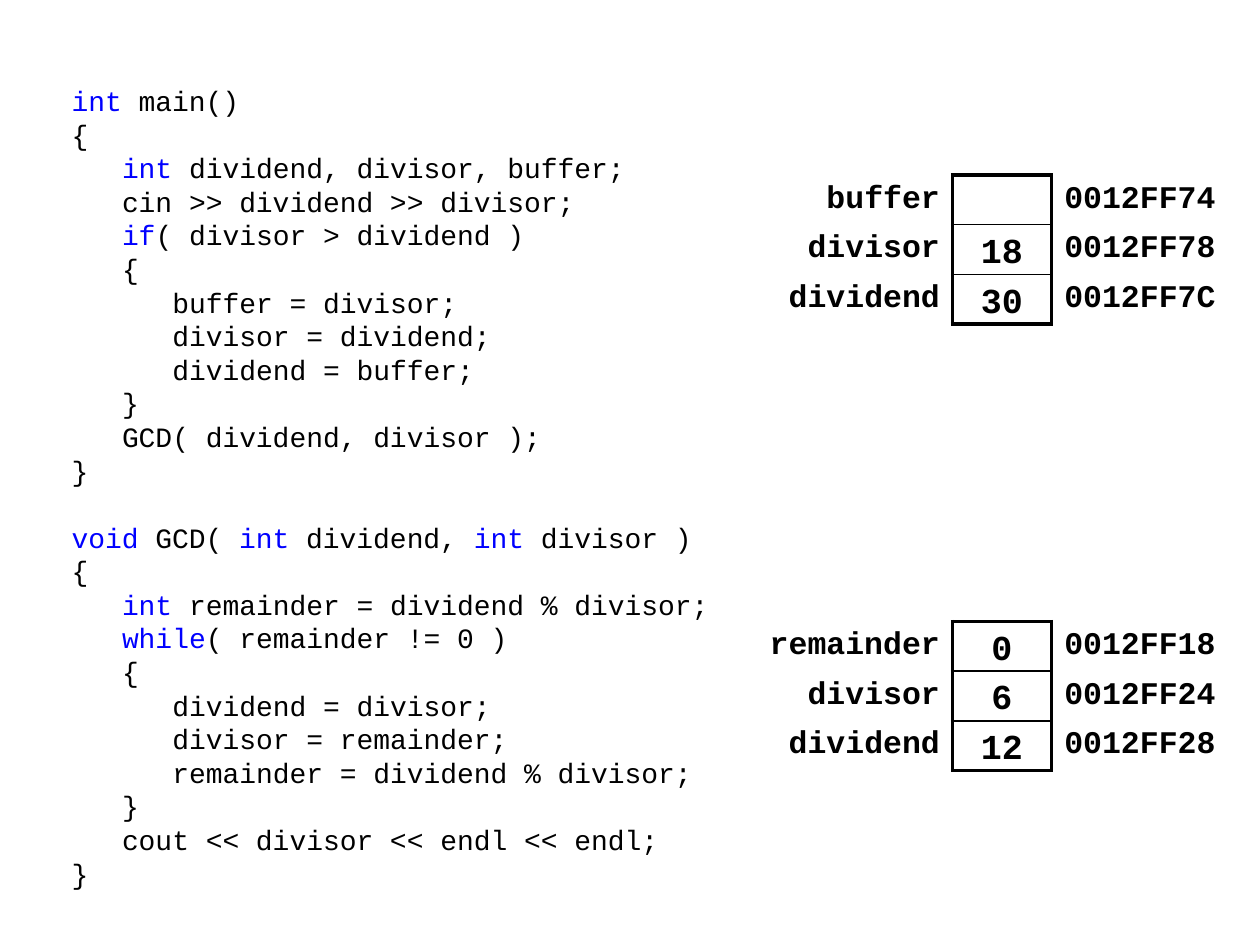
import pptx
import pptx.util
import pptx.dml.color
import pptx.enum.text
import pptx.oxml
import pptx.oxml.ns
from pptx.util import Cm, Pt

FONT = "Courier New"
BLACK = "000000"
BLUE = "0000FF"
ROW_H = 1.0
TABLE_X = 15.2
COL_W = [4.0, 2.0, 4.0]
INDENT_PER_SPACE = Pt(9.6)
LINE_PITCH = Pt(19.2)
ALIGN = pptx.enum.text.PP_ALIGN
MIDDLE = pptx.enum.text.MSO_ANCHOR.MIDDLE

CODE = """*int* main()
{
   *int* dividend, divisor, buffer;
   cin >> dividend >> divisor;
   *if*( divisor > dividend )
   {
      buffer = divisor;
      divisor = dividend;
      dividend = buffer;
   }
   GCD( dividend, divisor );
}

*void* GCD( *int* dividend, *int* divisor )
{
   *int* remainder = dividend % divisor;
   *while*( remainder != 0 )
   {
      dividend = divisor;
      divisor = remainder;
      remainder = dividend % divisor;
   }
   cout << divisor << endl << endl;
}"""

MEMORY = [
    (3.53, [("buffer", "", "0012FF74"),
            ("divisor", "18", "0012FF78"),
            ("dividend", "30", "0012FF7C")]),
    (12.53, [("remainder", "0", "0012FF18"),
             ("divisor", "6", "0012FF24"),
             ("dividend", "12", "0012FF28")]),
]


def rgb(color):
    return pptx.dml.color.RGBColor.from_string(color)


def add_run(p, text, size, color=BLACK, bold=False):
    r = p.add_run()
    r.text = text
    r.font.name = FONT
    r.font.size = Pt(size)
    r.font.bold = bold
    r.font.color.rgb = rgb(color)


def add_code_line(p, line):
    code = line.lstrip()
    pPr = p._p.get_or_add_pPr()
    pPr.set("marL", str(INDENT_PER_SPACE * (len(line) - len(code))))
    pPr.set("indent", "0")
    p.line_spacing = LINE_PITCH
    p.space_before = Pt(0)
    pPr.append(pptx.oxml.parse_xml(f"<a:buNone {pptx.oxml.ns.nsdecls('a')}/>"))
    for i, part in enumerate(code.split("*")):
        if part:
            add_run(p, part, 16, BLUE if i % 2 else BLACK)


def add_code(s):
    sp = s.placeholders[1]
    sp.left, sp.top, sp.width, sp.height = Cm(1.19), Cm(1.56), Cm(13.51), Cm(16.51)
    tf = sp.text_frame
    tf.auto_size = pptx.enum.text.MSO_AUTO_SIZE.NONE
    for i, block in enumerate(CODE.split("\n\n")):
        for j, line in enumerate(block.split("\n")):
            p = tf.add_paragraph() if i or j else tf.paragraphs[0]
            add_code_line(p, line)
            if i and not j:
                p.space_before = LINE_PITCH


def set_borders(cell, **widths):
    tcPr = cell._tc.get_or_add_tcPr()
    for side in "LRTB":
        width = widths.get(side, 0)
        fill = (f'<a:solidFill><a:srgbClr val="{BLACK}"/></a:solidFill>'
                if width else "<a:noFill/>")
        tcPr.append(pptx.oxml.parse_xml(
            f'<a:ln{side} {pptx.oxml.ns.nsdecls("a")} w="{Pt(width)}">{fill}</a:ln{side}>'))


def format_cell(cell, text, align, **borders):
    cell.margin_top = cell.margin_bottom = Cm(0.1)
    cell.vertical_anchor = MIDDLE
    set_borders(cell, **borders)
    cell.fill.background()
    if text:
        p = cell.text_frame.paragraphs[0]
        p.alignment = align
        add_run(p, text, 18, bold=True)


def add_memory_table(s, top, rows):
    shape = s.shapes.add_table(len(rows), 3, Cm(TABLE_X), Cm(top),
                               Cm(sum(COL_W)), Cm(ROW_H * len(rows)))
    table = shape.table
    table.first_row = table.horz_banding = False
    for column, width in zip(table.columns, COL_W):
        column.width = Cm(width)
    last = len(rows) - 1
    for i, (name, _, address) in enumerate(rows):
        table.rows[i].height = Cm(ROW_H)
        format_cell(table.cell(i, 0), name, ALIGN.RIGHT, R=2.25)
        format_cell(table.cell(i, 1), "", ALIGN.CENTER, L=2.25, R=2.25,
                    T=1 if i else 2.25, B=1 if i < last else 2.25)
        format_cell(table.cell(i, 2), address, ALIGN.LEFT, L=2.25)


def add_value(s, top, text):
    sp = s.shapes.add_textbox(Cm(TABLE_X + COL_W[0]), Cm(top), Cm(COL_W[1]), Cm(ROW_H))
    tf = sp.text_frame
    tf.word_wrap = True
    tf.vertical_anchor = MIDDLE
    p = tf.paragraphs[0]
    p.alignment = ALIGN.CENTER
    p.space_before = Pt(10)
    add_run(p, text, 20, bold=True)


def main():
    prs = pptx.Presentation()
    prs.slide_width, prs.slide_height = Cm(25.4), Cm(19.05)
    s = prs.slides.add_slide(prs.slide_layouts[1])
    title = s.shapes.title
    title.element.getparent().remove(title.element)
    add_code(s)
    for top, rows in MEMORY:
        add_memory_table(s, top, rows)
        for i, (_, value, _) in enumerate(rows):
            if value:
                add_value(s, top + i * ROW_H, value)
    prs.save("out.pptx")


if __name__ == "__main__":
    main()
